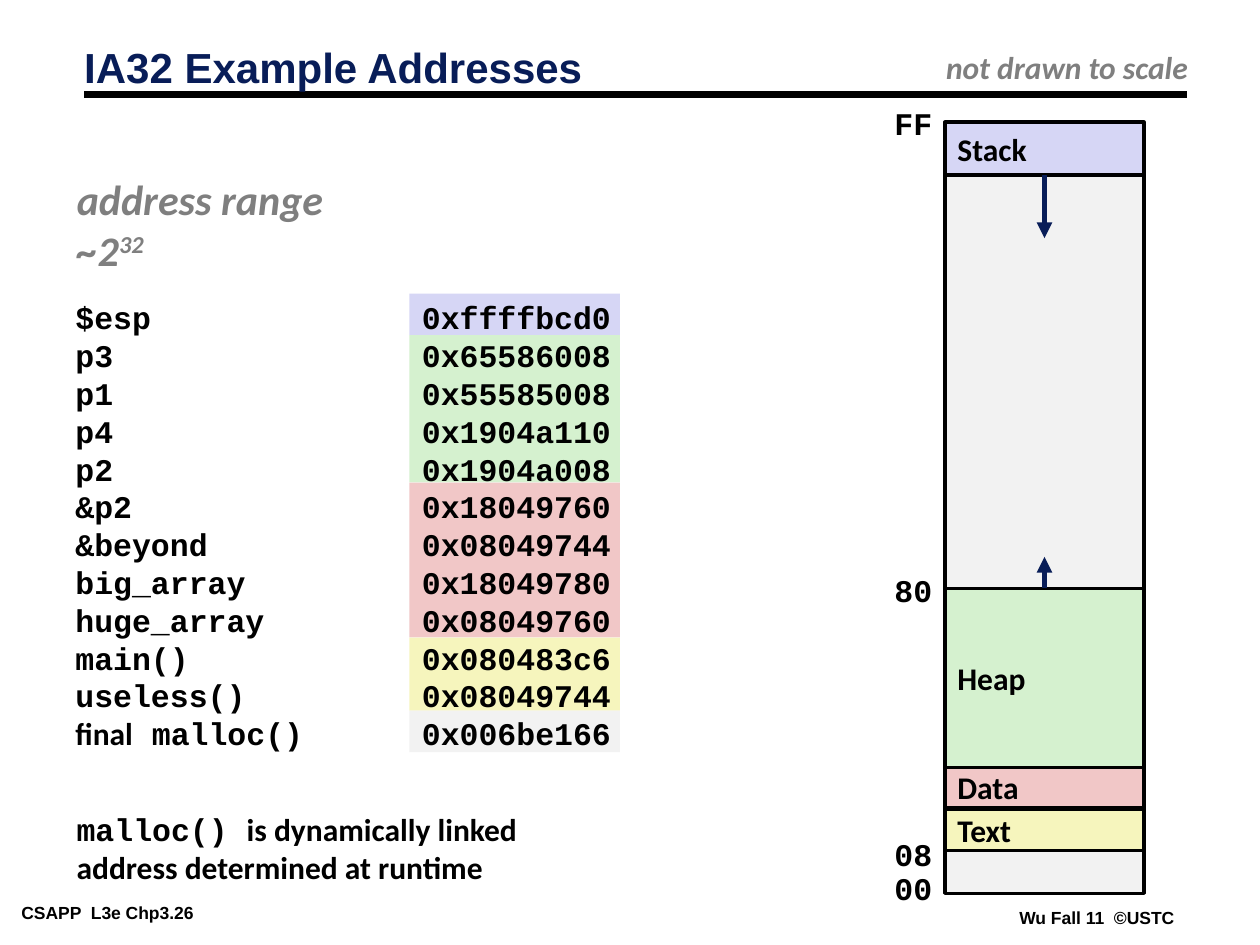
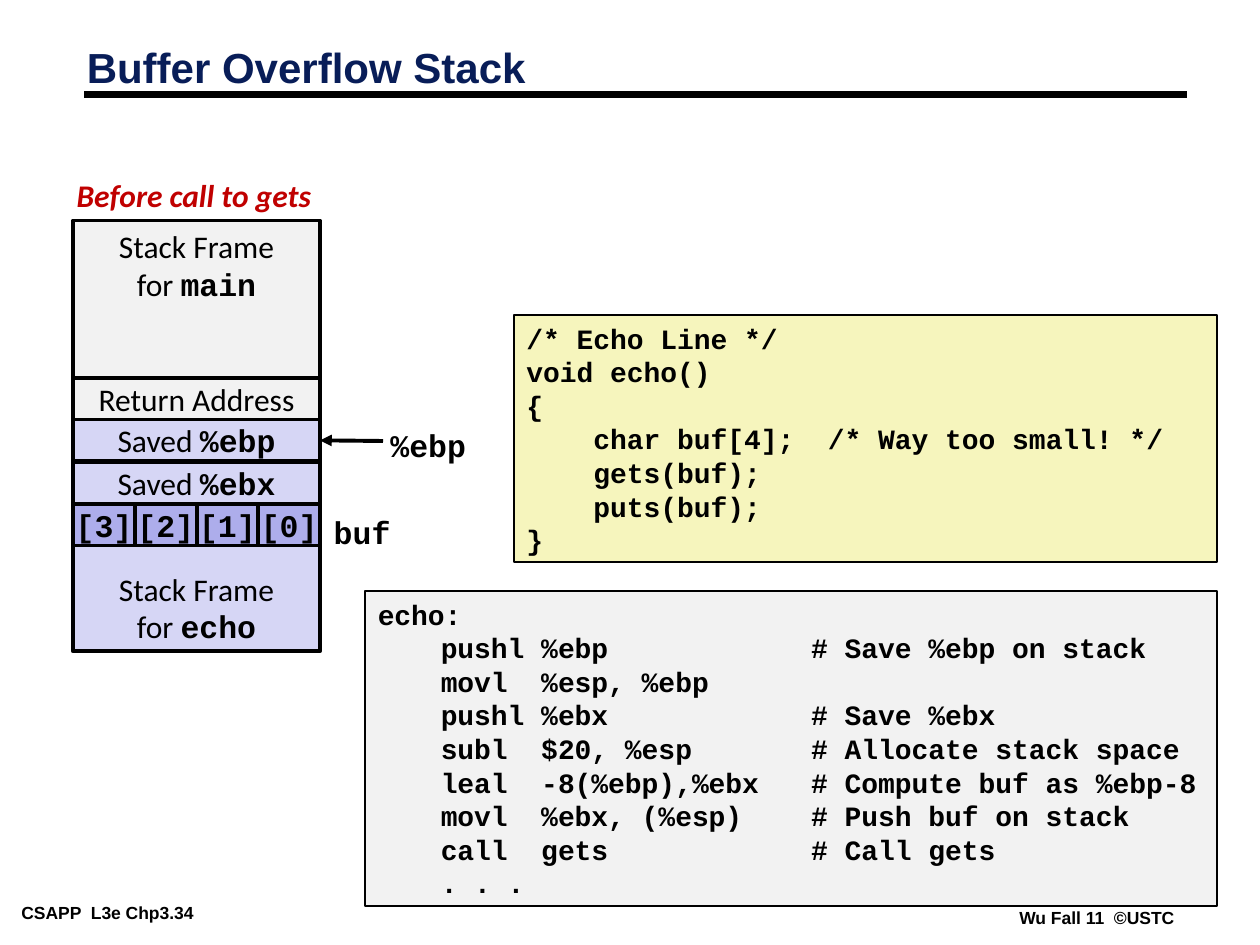
from lxml.etree import SubElement
from pptx import Presentation
from pptx.dml.color import RGBColor
from pptx.enum.shapes import MSO_CONNECTOR, MSO_SHAPE
from pptx.enum.text import MSO_ANCHOR, PP_ALIGN
from pptx.oxml.ns import qn
from pptx.util import Inches, Pt

SANS, BODY, MONO = "Arial", "Calibri", "Courier New"
BLACK, NAVY, GRAY, RED = "000000", "081D58", "7F7F7F", "C00000"
PALE, LILAC, VIOLET = "F2F2F2", "D6D6F5", "ADADEB"
GREEN, PINK, YELLOW = "D5F1CF", "F1C7C7", "F6F5BD"


def rgb(color):
    return RGBColor.from_string(color)


class Deck:
    def __init__(self):
        self.prs = Presentation()
        self.prs.slide_width = Inches(10)
        self.prs.slide_height = Inches(7.5)

    def new_slide(self, title, left, page):
        self.s = self.prs.slides.add_slide(self.prs.slide_layouts[6])
        for x, y, w, footer in ((0.1, 7.13, 2.02, f"CSAPP  L3e Chp3.{page}"),
                                (8.02, 7.17, 1.38, "Wu Fall 11  ©USTC")):
            self.text(x, y, w, 0.22, [footer], inset=(0.07, 0.03), font=SANS, size=10)
        self.line((0.67, 0.75), (9.42, 0.75), 4.5)
        tf = self.text(left, 0.33, 6.09, 0.45, [title], anchor=MSO_ANCHOR.MIDDLE,
                       font=SANS, size=24, color=NAVY)
        tf.paragraphs[0].line_spacing = 0.87

    def set_text(self, tf, lines, font=BODY, size=18, color=BLACK, bold=True, italic=False,
                 align=PP_ALIGN.LEFT, anchor=MSO_ANCHOR.TOP, inset=(0.1, 0.05),
                 wrap=False, tabs=(), sup=""):
        tf.word_wrap = wrap
        tf.vertical_anchor = anchor
        tf.margin_left = tf.margin_right = Inches(inset[0])
        tf.margin_top = tf.margin_bottom = Inches(inset[1])
        for i, line in enumerate(lines):
            p = tf.add_paragraph() if i else tf.paragraphs[0]
            p.alignment = align
            if tabs:
                tab_list = SubElement(p._p.get_or_add_pPr(), qn("a:tabLst"))
                for pos in tabs:
                    SubElement(tab_list, qn("a:tab"), pos=str(Inches(pos)), algn="l")
            for j, part in enumerate(line.split("`")):
                if part:
                    r = p.add_run()
                    r.text = part
                    self.style(r, MONO if j % 2 else font, size, color,
                               bold or j % 2 == 1, italic)
        if sup:
            r = p.add_run()
            r.text = sup
            self.style(r, font, size, color, bold, italic)
            r._r.get_or_add_rPr().set("baseline", "30000")
        return tf

    def style(self, r, font, size, color, bold, italic):
        r.font.name = font
        r.font.size = Pt(size)
        r.font.color.rgb = rgb(color)
        r.font.bold = bold
        r.font.italic = italic

    def text(self, x, y, w, h, lines, **style):
        box = self.s.shapes.add_textbox(Inches(x), Inches(y), Inches(w), Inches(h))
        return self.set_text(box.text_frame, lines, **style)

    def rect(self, x, y, w, h, fill, line=0, lines=(), **style):
        sp = self.s.shapes.add_shape(MSO_SHAPE.RECTANGLE, Inches(x), Inches(y),
                                     Inches(w), Inches(h))
        sp.shadow.inherit = False
        sp.fill.solid()
        sp.fill.fore_color.rgb = rgb(fill)
        if line:
            sp.line.color.rgb = rgb(BLACK)
            sp.line.width = Pt(line)
        else:
            sp.line.fill.background()
        if lines:
            self.set_text(sp.text_frame, lines, **style)
        return sp

    def line(self, start, end, width, color=BLACK, arrow=False):
        cn = self.s.shapes.add_connector(MSO_CONNECTOR.STRAIGHT,
                                         *(Inches(v) for v in (*start, *end)))
        cn.line.color.rgb = rgb(color)
        cn.line.width = Pt(width)
        if arrow:
            SubElement(cn.line._get_or_add_ln(), qn("a:tailEnd"), type="triangle")
        SubElement(cn._element.spPr, qn("a:effectLst"))
        return cn


def example_addresses(d):
    d.new_slide("IA32 Example Addresses", 0.57, 26)
    y = 2.33
    for h, fill in ((0.33, LILAC), (1.17, GREEN), (1.23, PINK), (0.58, YELLOW), (0.33, PALE)):
        d.rect(3.25, y, 1.67, h, fill)
        y += h
    addresses = (("$esp", "0xffffbcd0"), ("p3", "0x65586008"), ("p1", "0x55585008"),
                 ("p4", "0x1904a110"), ("p2", "0x1904a008"), ("&p2", "0x18049760"),
                 ("&beyond", "0x08049744"), ("big_array", "0x18049780"),
                 ("huge_array", "0x08049760"), ("main()", "0x080483c6"),
                 ("useless()", "0x08049744"), ("final` malloc()", "0x006be166"))
    rows = [f"{name}\t{addr}" if "`" in name else f"`{name}\t{addr}"
            for name, addr in addresses]
    d.text(0.5, 2.32, 4.66, 3.7, rows, wrap=True, tabs=(2.75,))
    d.text(0.56, 1.33, 2.66, 0.5, ["address range ~2"], sup="32", size=24, color=GRAY,
           italic=True, inset=(0.05, 0.05))
    d.text(7.41, 0.33, 2.12, 0.4, ["not drawn to scale"], color=GRAY, italic=True)
    d.text(0.51, 6.38, 3.7, 0.7,
           ["`malloc() `is dynamically linked", "address determined at runtime"])

    d.rect(7.5, 0.98, 1.58, 6.11, PALE, 2)
    regions = {}
    for name, top, h, fill in (("Stack", 0.97, 0.42, LILAC), ("Text", 6.42, 0.33, YELLOW),
                               ("Data", 6.08, 0.33, PINK), ("Heap", 4.67, 1.42, GREEN)):
        regions[name] = d.rect(7.5, top, 1.58, h, fill, 2, [name], anchor=MSO_ANCHOR.MIDDLE)
    for name, side, start, end in (("Stack", 2, 1.39, 1.89), ("Heap", 0, 4.67, 4.42)):
        cn = d.line((8.29, start), (8.29, end), 3, NAVY, arrow=True)
        cn.begin_connect(regions[name], side)
    for label, top in (("FF", 0.78), ("80", 4.48), ("08", 6.58), ("00", 6.85)):
        d.text(7, top, 0.5, 0.4, [label], font=MONO)


def overflow_stack(d):
    d.new_slide("Buffer Overflow Stack", 0.59, 34)
    assembly = ["echo:", "\tpushl %ebp\t# Save %ebp on stack", "\tmovl  %esp, %ebp",
                "\tpushl %ebx\t# Save %ebx", "\tsubl  $20, %esp\t# Allocate stack space",
                "\tleal  -8(%ebp),%ebx\t# Compute buf as %ebp-8",
                "\tmovl  %ebx, (%esp)\t# Push buf on stack",
                "\tcall  gets\t# Call gets", "\t. . ."]
    source = ["/* Echo Line */", "void echo()", "{",
              "    char buf[4];  /* Way too small! */",
              "    gets(buf);", "    puts(buf);", "}"]
    code = dict(font=MONO, size=16, wrap=True)
    d.rect(2.9, 4.69, 6.76, 2.5, PALE, 1, assembly, tabs=(0.5, 3.44), **code)
    d.rect(4.08, 2.5, 5.58, 1.96, YELLOW, 1, source, **code)

    d.text(0.51, 1.35, 2.07, 0.4, ["Before call to gets"], color=RED, italic=True)
    top, middle, bottom = MSO_ANCHOR.TOP, MSO_ANCHOR.MIDDLE, MSO_ANCHOR.BOTTOM
    frames = {}
    for name, y, h, fill, anchor, lines in (
            ("main", 1.75, 1.25, PALE, top, ["Stack Frame", "for `main`"]),
            ("return", 3, 0.33, PALE, middle, ["Return Address"]),
            ("ebp", 3.33, 0.33, LILAC, middle, ["Saved `%ebp`"]),
            ("echo", 3.67, 1.5, LILAC, bottom, ["Stack Frame", "for `echo`"]),
            ("ebx", 3.67, 0.33, LILAC, middle, ["Saved `%ebx`"])):
        frames[name] = d.rect(0.58, y, 1.96, h, fill, 2.25, lines, bold=False,
                              align=PP_ALIGN.CENTER, anchor=anchor)
    for i in range(4):
        d.rect(0.58 + i * 0.49, 4, 0.49, 0.33, VIOLET, 2.25, [f"[{3 - i}]"], font=MONO,
               align=PP_ALIGN.CENTER, anchor=middle)
    d.line((3.04, 3.5), (2.54, 3.5), 2.25, arrow=True).end_connect(frames["ebp"], 3)
    d.text(3, 3.33, 0.8, 0.4, ["%ebp"], font=MONO)
    d.text(2.55, 4.02, 0.65, 0.4, ["buf"], font=MONO)


def main():
    d = Deck()
    example_addresses(d)
    overflow_stack(d)
    d.prs.save("out.pptx")


if __name__ == "__main__":
    main()
